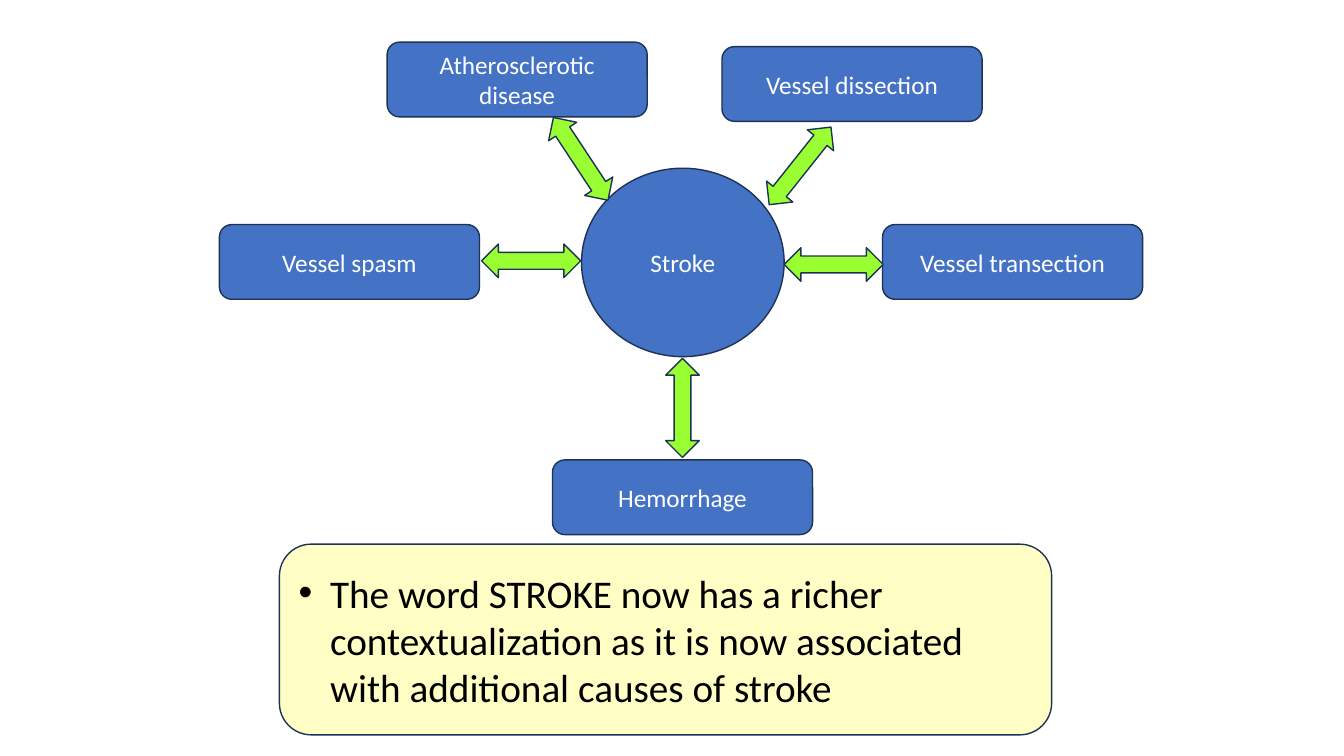
"""Build a slide linking stroke to its five causes."""
from lxml import etree
from pptx import Presentation
from pptx.dml.color import RGBColor
from pptx.enum.shapes import MSO_SHAPE as Kind
from pptx.enum.text import MSO_ANCHOR as Anchor, PP_ALIGN as Align
from pptx.oxml.ns import qn
from pptx.util import Pt

BLUE, CREAM, LIME, EDGE = "4472C4", "FFFFC5", "99FF33", "1E3256"
WHITE, BLACK = "FFFFFF", "000000"

HUB = ("Stroke", 415.4, 120.2, 144.7, 134.6)
CAUSE_W, CAUSE_H = 185.8, 53.4
CAUSES = [
    ("Atherosclerotic disease", 276.5, 30.1),
    ("Vessel spasm", 156.7, 160.4),
    ("Vessel dissection", 515.7, 33.3),
    ("Vessel transection", 630.4, 160.4),
    ("Hemorrhage", 394.6, 328.5),
]
NOTE = ("The word STROKE now has a richer contextualization as it is now "
        "associated with additional causes of stroke", 199.6, 388.7, 551.6, 136.2)
ARROW_W, ARROW_H = 70.8, 24
ARROWS = [
    (379.4, 186.3, 0),
    (595.5, 188.9, 0),
    (414.8, 113.5, 56.6),
    (571.5, 118.5, 308.5),
    (487.5, 291.4, 90),
]


def color(code):
    return RGBColor.from_string(code)


def draw(slide, kind, x, y, w, h, fill):
    shape = slide.shapes.add_shape(kind, Pt(x), Pt(y), Pt(w), Pt(h))
    shape.shadow.inherit = False
    shape.fill.solid()
    shape.fill.fore_color.rgb = color(fill)
    shape.line.color.rgb = color(EDGE)
    shape.line.width = Pt(1)
    return shape


def write(shape, text, size, ink, align):
    frame = shape.text_frame
    frame.word_wrap = True
    frame.vertical_anchor = Anchor.MIDDLE
    para = frame.paragraphs[0]
    para.alignment = align
    run = para.add_run()
    run.text = text
    run.font.name = "Calibri"
    run.font.size = Pt(size)
    run.font.color.rgb = color(ink)
    return para


def bullet(para, indent):
    props = para._p.get_or_add_pPr()
    props.set("marL", str(Pt(indent)))
    props.set("indent", str(-Pt(indent)))
    etree.SubElement(props, qn("a:buFont")).set("typeface", "Arial")
    etree.SubElement(props, qn("a:buChar")).set("char", "•")


def main():
    deck = Presentation()
    deck.slide_width, deck.slide_height = Pt(960), Pt(540)
    slide = deck.slides.add_slide(deck.slide_layouts[6])

    text, *box = HUB
    write(draw(slide, Kind.OVAL, *box, BLUE), text, 18, WHITE, Align.CENTER)

    for text, x, y in CAUSES:
        cause = draw(slide, Kind.ROUNDED_RECTANGLE, x, y, CAUSE_W, CAUSE_H, BLUE)
        write(cause, text, 18, WHITE, Align.CENTER)

    text, *box = NOTE
    note = draw(slide, Kind.ROUNDED_RECTANGLE, *box, CREAM)
    bullet(write(note, text, 28, BLACK, Align.LEFT), 22.5)

    for mid_x, mid_y, turn in ARROWS:
        arrow = draw(slide, Kind.LEFT_RIGHT_ARROW, mid_x - ARROW_W / 2,
                     mid_y - ARROW_H / 2, ARROW_W, ARROW_H, LIME)
        arrow.rotation = turn

    deck.save("out.pptx")


if __name__ == "__main__":
    main()
